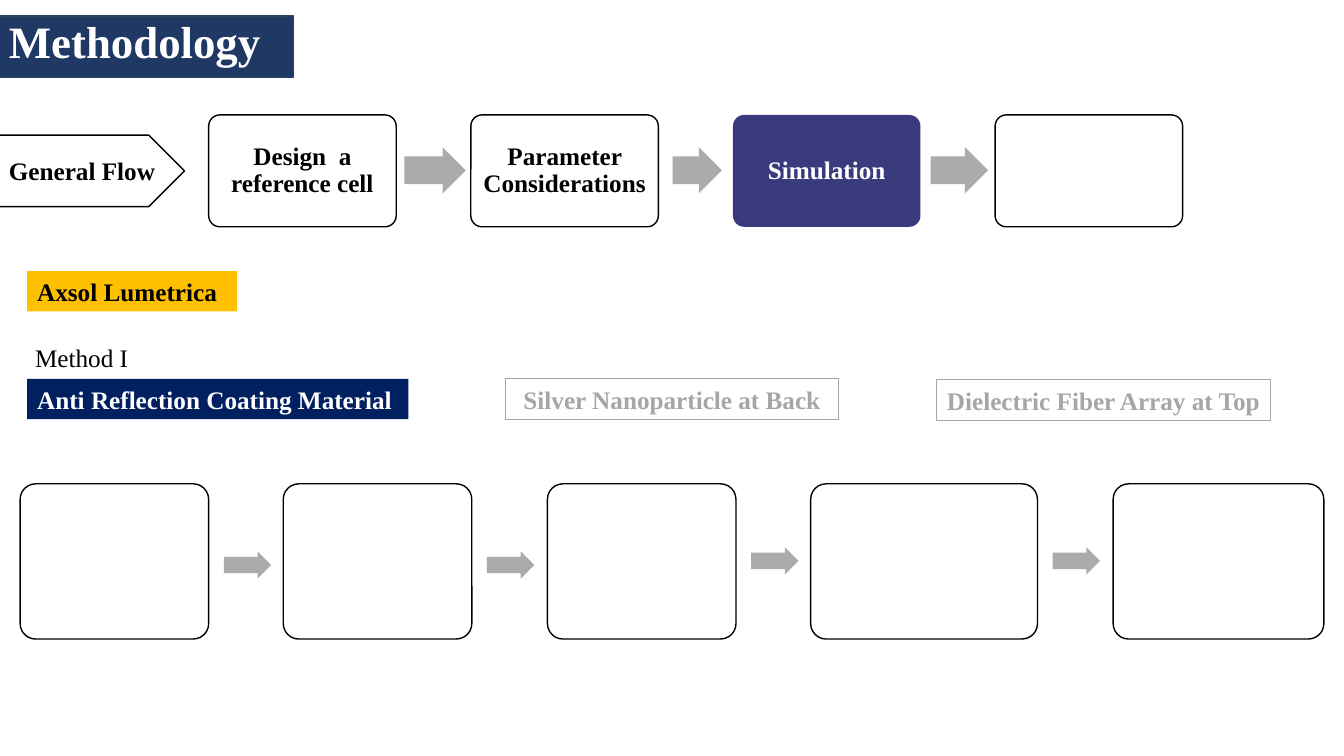
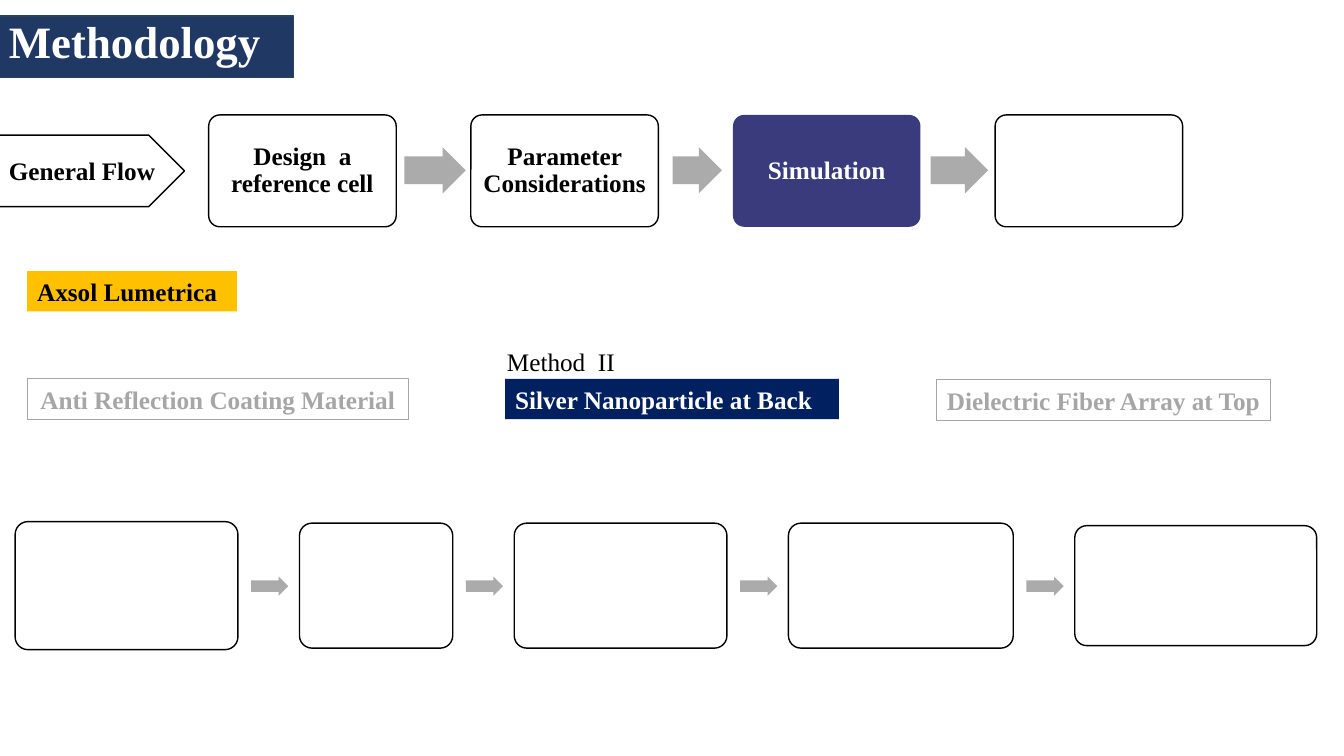
from pptx import Presentation
from pptx.dml.color import RGBColor
from pptx.enum.shapes import MSO_SHAPE
from pptx.enum.text import MSO_ANCHOR, PP_ALIGN
from pptx.util import Inches, Pt

FONT = "Times New Roman"
BLACK = RGBColor(0x00, 0x00, 0x00)
WHITE = RGBColor(0xFF, 0xFF, 0xFF)
BAND_BLUE = RGBColor(0x20, 0x38, 0x64)
BAND_EDGE = RGBColor(0x28, 0x44, 0x5D)
NAVY = RGBColor(0x00, 0x20, 0x60)
INDIGO = RGBColor(0x39, 0x3B, 0x7C)
GOLD = RGBColor(0xFF, 0xC0, 0x00)
ARROW_GRAY = RGBColor(0xAB, 0xAB, 0xAB)
MUTED_GRAY = RGBColor(0xA6, 0xA6, 0xA6)

STEP_TOP, STEP_WIDTH, STEP_HEIGHT, STEP_PITCH = 1.14, 1.86, 1.11, 2.6
STEPS = ["Design  a reference cell", "Parameter Considerations", "Simulation", ""]
CURRENT_STEP = "Simulation"
STEP_ARROWS = [(4.01, 0.61), (6.67, 0.49), (9.23, 0.57)]  # left, width
METHODS = [  # text, left, top, width
    ("Anti Reflection Coating Material", 0.27, 3.76, 3.78),
    ("Silver Nanoparticle at Back", 5.01, 3.76, 3.31),
    ("Dielectric Fiber Array at Top", 9.29, 3.77, 3.31),
]
SLIDES = [
    {
        "method": 0, "label": "Method I", "label_at": (0.25, 3.35, 1.13, 0.4),
        "middle": 5.57,
        "boxes": [(0.2, 1.87, 1.54), (2.81, 1.87, 1.54), (5.43, 1.87, 1.54),
                  (8.04, 2.25, 1.54), (11.04, 2.09, 1.54)],  # left, width, height
        "arrow_gap": 0.15, "arrow_size": (0.47, 0.27),
        "arrow_tops": [5.47, 5.47, 5.43, 5.43],
    },
    {
        "method": 1, "label": "Method  II", "label_at": (4.93, 3.39, 1.28, 0.4),
        "middle": 5.81,
        "boxes": [(0.15, 2.21, 1.27), (2.97, 1.52, 1.24), (5.1, 2.11, 1.24),
                  (7.82, 2.23, 1.24), (10.66, 2.4, 1.19)],
        "arrow_gap": 0.13, "arrow_size": (0.37, 0.19),
        "arrow_tops": [5.72] * 4,
    },
]


def add_box(page, kind, at, text="", fill=None, line=None, line_width=1, color=BLACK,
            size=18, bold=True, align=PP_ALIGN.LEFT, spacing=1.0, margin=0.1,
            wrap=True, adjustments=()):
    """Add a preset shape at (left, top, width, height) in inches."""
    box = page.shapes.add_shape(kind, *map(Inches, at))
    box.shadow.inherit = False
    for index, value in enumerate(adjustments):
        box.adjustments[index] = value
    if fill is None:
        box.fill.background()
    else:
        box.fill.solid()
        box.fill.fore_color.rgb = fill
    if line is None:
        box.line.fill.background()
    else:
        box.line.color.rgb = line
        box.line.width = Pt(line_width)
    if text:
        frame = box.text_frame
        frame.word_wrap = wrap
        frame.vertical_anchor = MSO_ANCHOR.MIDDLE
        frame.margin_left = frame.margin_right = Inches(margin)
        frame.margin_top = frame.margin_bottom = Inches(0.05)
        para = frame.paragraphs[0]
        para.alignment = align
        para.line_spacing = spacing
        span = para.add_run()
        span.text = text
        span.font.name = FONT
        span.font.size = Pt(size)
        span.font.bold = bold
        span.font.color.rgb = color
    return box


def add_arrow(page, at):
    add_box(page, MSO_SHAPE.RIGHT_ARROW, at, fill=ARROW_GRAY, adjustments=(0.6, 0.5))


deck = Presentation()
deck.slide_width, deck.slide_height = Inches(13.33), Inches(7.5)

for content in SLIDES:
    page = deck.slides.add_slide(deck.slide_layouts[6])

    # Title and general flow
    title = add_box(page, MSO_SHAPE.RECTANGLE, (-0.01, 0.16, 2.92, 0.61), "Methodology",
                    fill=BAND_BLUE, line=BAND_EDGE, color=WHITE, size=32, spacing=0.9)
    title.text_frame.vertical_anchor = MSO_ANCHOR.TOP
    title.text_frame.margin_top = Inches(0.04)
    for index, step in enumerate(STEPS):
        current = step == CURRENT_STEP
        add_box(page, MSO_SHAPE.ROUNDED_RECTANGLE,
                (2.07 + index * STEP_PITCH, STEP_TOP, STEP_WIDTH, STEP_HEIGHT), step,
                fill=INDIGO if current else WHITE, line=None if current else BLACK,
                color=WHITE if current else BLACK, align=PP_ALIGN.CENTER,
                spacing=0.9, margin=0.07, adjustments=(0.1,))
    for left, width in STEP_ARROWS:
        add_arrow(page, (left, 1.46, width, 0.46))
    add_box(page, MSO_SHAPE.PENTAGON, (-0.01, 1.34, 1.84, 0.71), "General Flow",
            line=BLACK, wrap=False)

    # Flow of the chosen method
    arrow_width, arrow_height = content["arrow_size"]
    for left, width, height in content["boxes"]:
        add_box(page, MSO_SHAPE.ROUNDED_RECTANGLE,
                (left, content["middle"] - height / 2, width, height),
                fill=WHITE, line=BLACK, adjustments=(0.1,))
    for (left, width, _), top in zip(content["boxes"], content["arrow_tops"]):
        add_arrow(page, (left + width + content["arrow_gap"], top, arrow_width, arrow_height))

    # Tool and methods
    for index, (method, left, top, width) in enumerate(METHODS):
        if index == content["method"]:
            style = {"fill": NAVY, "color": WHITE}
        else:
            style = {"line": MUTED_GRAY, "line_width": 0.75, "color": MUTED_GRAY,
                     "align": PP_ALIGN.CENTER}
        add_box(page, MSO_SHAPE.RECTANGLE, (left, top, width, 0.4), method, **style)
    add_box(page, MSO_SHAPE.RECTANGLE, content["label_at"], content["label"],
            bold=False, wrap=False)
    add_box(page, MSO_SHAPE.RECTANGLE, (0.27, 2.69, 2.08, 0.4), "Axsol Lumetrica", fill=GOLD)

deck.save("out.pptx")
